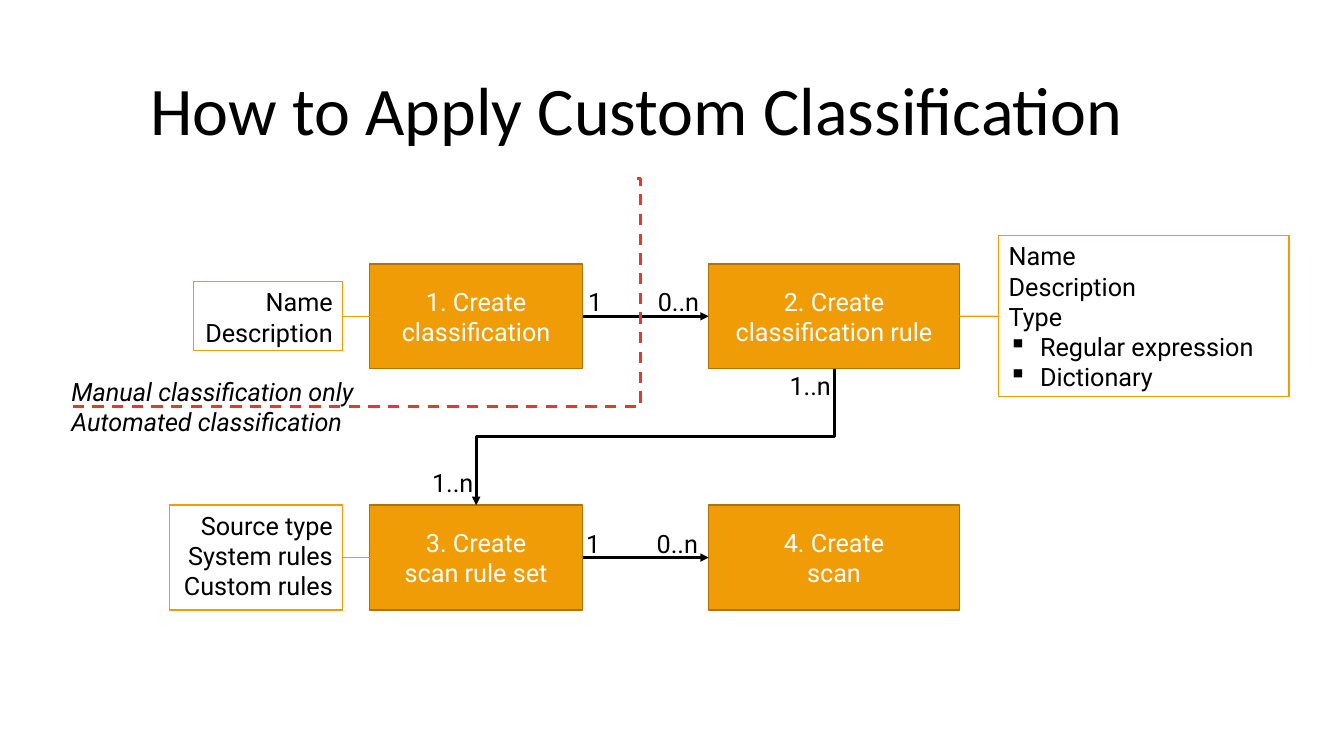
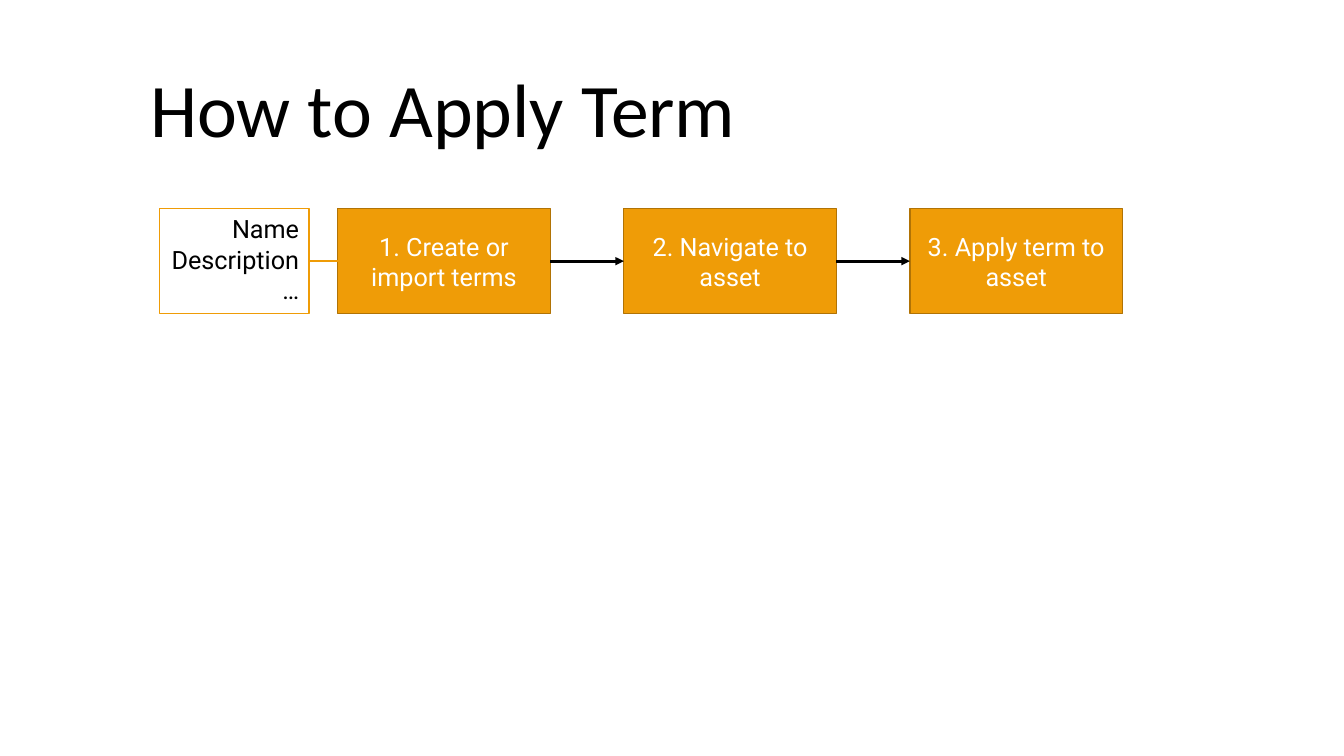
from dataclasses import dataclass

from lxml import etree
from pptx import Presentation
from pptx.dml.color import RGBColor
from pptx.enum.dml import MSO_LINE
from pptx.enum.shapes import MSO_CONNECTOR, MSO_SHAPE
from pptx.enum.text import MSO_ANCHOR, MSO_AUTO_SIZE, PP_ALIGN
from pptx.oxml.ns import qn
from pptx.util import Cm, Pt

LEFT, CENTER, RIGHT = PP_ALIGN.LEFT, PP_ALIGN.CENTER, PP_ALIGN.RIGHT
TOP, MIDDLE = MSO_ANCHOR.TOP, MSO_ANCHOR.MIDDLE
STRAIGHT, ELBOW = MSO_CONNECTOR.STRAIGHT, MSO_CONNECTOR.ELBOW
RECTANGLE = MSO_SHAPE.RECTANGLE
DASH = MSO_LINE.DASH
NO_AUTOFIT = MSO_AUTO_SIZE.NONE
TITLE_ONLY = 5
# Connection sites of a rectangle
SITE_TOP, SITE_LEFT, SITE_BOTTOM, SITE_RIGHT = range(4)


@dataclass(frozen=True)
class Theme:
    black: RGBColor = RGBColor(0x00, 0x00, 0x00)
    white: RGBColor = RGBColor(0xFF, 0xFF, 0xFF)
    orange: RGBColor = RGBColor(0xEF, 0x9C, 0x07)
    brown: RGBColor = RGBColor(0xB1, 0x73, 0x05)
    red: RGBColor = RGBColor(0xE2, 0x3A, 0x2E)
    title_font: str = "Calibri"
    body_font: str = "Roboto"
    title_size: float = 54
    long_title_size: float = 48.6
    body_size: float = 18
    thin: float = 1
    thick: float = 2


THEME = Theme()


def write(text_frame, text, font=THEME.body_font, size=THEME.body_size,
          color=THEME.black, align=LEFT, anchor=MIDDLE, italic=False,
          spacing=None, bullets_from=None):
    """Fill a text frame, one paragraph for each line of the text."""
    text_frame.word_wrap = True
    text_frame.auto_size = NO_AUTOFIT
    text_frame.vertical_anchor = anchor
    text_frame.text = text
    for index, paragraph in enumerate(text_frame.paragraphs):
        paragraph.alignment = align
        if spacing:
            paragraph.line_spacing = spacing
        if bullets_from is not None and index >= bullets_from:
            properties = paragraph._p.get_or_add_pPr()
            properties.set("marL", str(Cm(0.79)))
            properties.set("indent", str(-Cm(0.79)))
            etree.SubElement(properties, qn("a:buChar"), char="▪")
        for run in paragraph.runs:
            run.font.name = font
            run.font.size = Pt(size)
            run.font.color.rgb = color
            run.font.italic = italic


class Deck:
    """Holds the presentation, its style and the current slide."""

    def __init__(self, theme):
        self.theme = theme
        self.presentation = Presentation()
        self.presentation.slide_width = Cm(33.87)
        self.presentation.slide_height = Cm(19.05)
        self.slide = None

    def add_slide(self, title, size):
        layout = self.presentation.slide_layouts[TITLE_ONLY]
        self.slide = self.presentation.slides.add_slide(layout)
        shape = self.slide.shapes.title
        shape.left, shape.top = Cm(3.53), Cm(1.02)
        shape.width, shape.height = Cm(27.46), Cm(3.66)
        write(shape.text_frame, title, font=self.theme.title_font,
              size=size, spacing=0.9)

    def box(self, text, left, top, width, height, line, fill=None, **text_format):
        shape = self.slide.shapes.add_shape(
            RECTANGLE, Cm(left), Cm(top), Cm(width), Cm(height))
        shape.shadow.inherit = False
        if fill is None:
            shape.fill.background()
        else:
            shape.fill.solid()
            shape.fill.fore_color.rgb = fill
        shape.line.color.rgb = line
        shape.line.width = Pt(self.theme.thin)
        write(shape.text_frame, text, **text_format)
        return shape

    def step(self, text, left, top, width=5.36):
        return self.box(text, left, top, width, 2.64, self.theme.brown,
                        fill=self.theme.orange, color=self.theme.white, align=CENTER)

    def note(self, text, left, top, width, height, align=RIGHT, **text_format):
        return self.box(text, left, top, width, height, self.theme.orange,
                        align=align, anchor=TOP, **text_format)

    def text(self, text, left, top, width, height, inset=0.25, **text_format):
        shape = self.slide.shapes.add_textbox(
            Cm(left), Cm(top), Cm(width), Cm(height))
        frame = shape.text_frame
        frame.margin_left = frame.margin_right = Cm(inset)
        write(frame, text, **text_format)

    def label(self, text, left, top, width=1.68):
        self.text(text, left, top, width, 0.71, inset=0, align=CENTER)

    def connector(self, kind, color, width, start=(0, 0), end=(0, 0),
                  dash=None, arrow=False):
        connector = self.slide.shapes.add_connector(
            kind, *map(Cm, start), *map(Cm, end))
        connector.line.color.rgb = color
        connector.line.width = Pt(width)
        if dash:
            connector.line.dash_style = dash
        if arrow:
            etree.SubElement(connector.line._get_or_add_ln(),
                             qn("a:tailEnd"), type="triangle")
        etree.SubElement(connector._element.spPr, qn("a:effectLst"))
        return connector

    def link(self, first, second):
        """Plain line from the right side of one box to the next."""
        connector = self.connector(STRAIGHT, self.theme.orange, self.theme.thin)
        connector.begin_connect(first, SITE_RIGHT)
        connector.end_connect(second, SITE_LEFT)

    def arrow(self, first, second):
        connector = self.connector(STRAIGHT, self.theme.black, self.theme.thick,
                                   arrow=True)
        connector.begin_connect(first, SITE_RIGHT)
        connector.end_connect(second, SITE_LEFT)

    def arrow_down_left(self, first, second):
        """Elbow arrow from the bottom of a box to the top of a lower one."""
        connector = self.connector(ELBOW, self.theme.black, self.theme.thick,
                                   arrow=True)
        connector.begin_connect(first, SITE_BOTTOM)
        connector.end_connect(second, SITE_TOP)
        # A quarter turn about the centre makes the ends vertical
        across, down = connector.width, connector.height
        connector.left += (across - down) // 2
        connector.top += (down - across) // 2
        connector.width, connector.height = down, across
        frame = connector._element.spPr.find(qn("a:xfrm"))
        frame.attrib.pop("flipH", None)
        frame.set("rot", str(90 * 60000))

    def boundary(self, start, end, bend):
        """Dashed elbow line whose bend is a share of its width."""
        connector = self.connector(ELBOW, self.theme.red, self.theme.thick,
                                   start, end, dash=DASH)
        geometry = connector._element.spPr.find(qn("a:prstGeom"))
        adjustments = geometry.find(qn("a:avLst"))
        if adjustments is None:
            adjustments = etree.SubElement(geometry, qn("a:avLst"))
        etree.SubElement(adjustments, qn("a:gd"), name="adj1",
                         fmla=f"val {round(bend * 100000)}")


deck = Deck(THEME)

# Slide 1: custom classification
deck.add_slide("How to Apply Custom Classification", THEME.long_title_size)
left_column, right_column, wide = 9.32, 17.86, 6.32
upper_row, lower_row = 6.65, 12.73

classification = deck.step("1. Create classification", left_column, upper_row)
rule = deck.step("2. Create\nclassification rule", right_column, upper_row, wide)
rule_set = deck.step("3. Create\nscan rule set", left_column, lower_row)
scan = deck.step("4. Create\nscan", right_column, lower_row, wide)
deck.arrow(classification, rule)
deck.arrow_down_left(rule, rule_set)
deck.arrow(rule_set, scan)

# Cardinalities
deck.label("1", 14.68, 7.24, 0.64)
deck.label("0..n", 16.26, 7.24)
deck.label("1..n", 19.58, 9.35)
deck.label("1..n", 10.57, 11.79)
deck.label("1", 14.63, 13.34, 0.64)
deck.label("0..n", 16.23, 13.34)

# Properties of each step
classification_note = deck.note("Name\nDescription", 4.88, 7.1, 3.76, 1.74)
rule_note = deck.note(
    "Name\nDescription\nType\nRegular expression\nDictionary",
    25.17, 5.94, 7.32, 4.06, align=LEFT, bullets_from=3)
rule_set_note = deck.note("Source type\nSystem rules\nCustom rules",
                          4.27, lower_row, 4.37, 2.64)
deck.link(classification_note, classification)
deck.link(rule, rule_note)
deck.link(rule_set_note, rule_set)

# Manual and automated areas
deck.boundary((1.83, 10.24), (16.01, 4.5), bend=1.01)
deck.text("Manual classification only\nAutomated classification",
          1.55, 9.35, 12.37, 1.8, anchor=TOP, italic=True)

# Slide 2: terms
deck.add_slide("How to Apply Term", THEME.title_size)
row, first_left, pitch = 5.26, 8.51, 7.21
step_texts = ("1. Create or import terms", "2. Navigate to asset",
              "3. Apply term to asset")
steps = [deck.step(text, first_left + index * pitch, row)
         for index, text in enumerate(step_texts)]
for first, second in zip(steps, steps[1:]):
    deck.arrow(first, second)
term_note = deck.note("Name\nDescription\n…", 4.02, row, 3.77, 2.64)
deck.link(term_note, steps[0])

deck.presentation.save("out.pptx")
